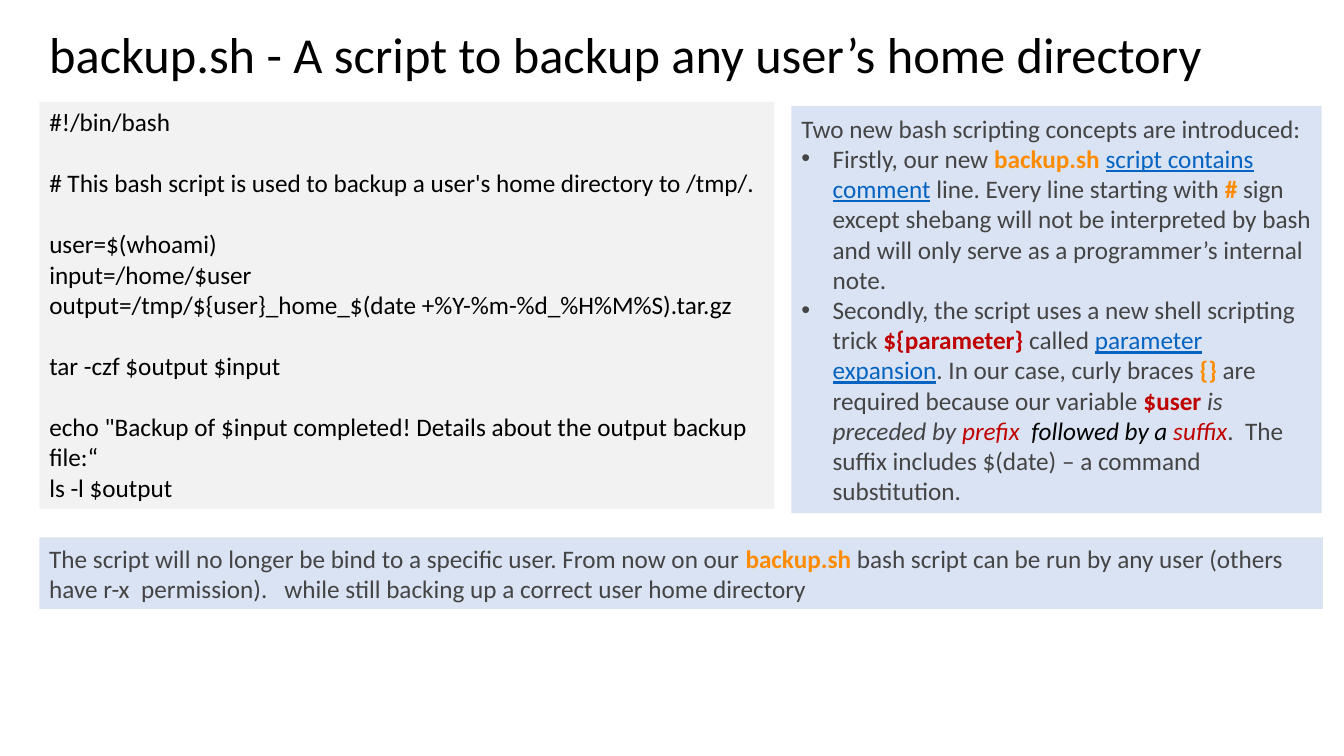
from dataclasses import dataclass

from lxml.etree import SubElement
from pptx import Presentation
from pptx.dml.color import RGBColor
from pptx.enum.shapes import MSO_SHAPE as Shape
from pptx.enum.text import MSO_ANCHOR as Anchor, PP_ALIGN as Align
from pptx.oxml.ns import qn
from pptx.util import Inches, Pt


@dataclass(frozen=True)
class Theme:
    font: str = "Calibri"
    title_size: int = 36
    body_size: int = 18
    code_gap: int = 22
    black: str = "000000"
    body: str = "444444"
    orange: str = "FF8C00"
    red: str = "C00000"
    blue: str = "0563C1"
    code_fill: str = "F2F2F2"
    note_fill: str = "DAE3F3"


THEME = Theme()
LEFT = 0.39
FULL_WIDTH = 12.73
PANEL_HEIGHT = 4.04

NAME = dict(color=THEME.orange, bold=True)
VARIABLE = dict(color=THEME.red, bold=True)
TERM = dict(color=THEME.blue, underline=True)
ASIDE = dict(color=THEME.body, italic=True)
ASIDE_RED = dict(color=THEME.red, italic=True)
ASIDE_BLACK = dict(color=THEME.black, italic=True)

TITLE = "backup.sh - A script to backup any user’s home directory"

CODE_BLOCKS = [
    ["#!/bin/bash"],
    ["# This bash script is used to backup a user's home directory to /tmp/."],
    ["user=$(whoami)",
     "input=/home/$user",
     "output=/tmp/${user}_home_$(date +%Y-%m-%d_%H%M%S).tar.gz"],
    ["tar -czf $output $input"],
    ['echo "Backup of $input completed! Details about the output backup file:“',
     "ls -l $output"],
]

CONCEPTS_INTRO = "Two new bash scripting concepts are introduced:"
CONCEPTS = [
    [("Firstly, our new ", {}), ("backup.sh ", NAME),
     ("script contains comment", TERM),
     (" line. Every line starting with ", {}), ("#", NAME),
     (" sign except shebang will not be interpreted by bash and will only "
      "serve as a programmer’s internal note.", {})],
    [("Secondly, the script uses a new shell scripting trick ", {}),
     ("${parameter}", VARIABLE), (" called ", {}),
     ("parameter expansion", TERM),
     (". In our case, curly braces ", {}), ("{}", NAME),
     (" are required because our variable ", {}), ("$user ", VARIABLE),
     ("is preceded by ", ASIDE), ("prefix  ", ASIDE_RED),
     ("followed by a", ASIDE_BLACK), (" suffix", ASIDE_RED),
     (".  The suffix includes $(date) – a command substitution.", {})],
]

SUMMARY = [
    ("The script will no longer be bind to a specific user. "
     "From now on our ", {}),
    ("backup.sh", NAME),
    (" bash script can be run by any user (others have r-x  permission).   "
     "while still backing up a correct user home directory", {}),
]


def add_run(paragraph, text, *, size=THEME.body_size, color=THEME.body,
            bold=False, italic=False, underline=False):
    run = paragraph.add_run()
    run.text = text
    font = run.font
    font.name = THEME.font
    font.size = Pt(size)
    font.color.rgb = RGBColor.from_string(color)
    font.bold, font.italic, font.underline = bold, italic, underline


def add_paragraph(frame, runs, *, bullet=False, space_before=0):
    """Fill the frame's first paragraph if it is unused, else append one."""
    paragraph = frame.paragraphs[0]
    if paragraph.runs:
        paragraph = frame.add_paragraph()
    paragraph.alignment = Align.LEFT
    if space_before:
        paragraph.space_before = Pt(space_before)
    if bullet:
        properties = paragraph._p.get_or_add_pPr()
        properties.set("marL", str(Inches(0.31)))
        properties.set("indent", str(Inches(-0.31)))
        SubElement(properties, qn("a:buFont"), typeface="Arial")
        SubElement(properties, qn("a:buChar"), char="•")
    for text, style in runs:
        add_run(paragraph, text, **style)
    return paragraph


def add_panel(slide, left, top, width, height, fill, anchor=Anchor.MIDDLE):
    """Add a borderless rectangle and return its text frame."""
    panel = slide.shapes.add_shape(Shape.RECTANGLE, Inches(left), Inches(top),
                                   Inches(width), Inches(height))
    panel.shadow.inherit = False
    panel.fill.solid()
    panel.fill.fore_color.rgb = RGBColor.from_string(fill)
    panel.line.fill.background()
    frame = panel.text_frame
    frame.word_wrap = True
    frame.vertical_anchor = anchor
    return frame


def add_title(slide):
    box = slide.shapes.add_textbox(Inches(LEFT), Inches(0.17),
                                   Inches(FULL_WIDTH), Inches(0.8))
    frame = box.text_frame
    frame.word_wrap = True
    frame.vertical_anchor = Anchor.MIDDLE
    style = dict(size=THEME.title_size, color=THEME.black)
    add_paragraph(frame, [(TITLE, style)]).line_spacing = 0.9


def add_code(slide):
    frame = add_panel(slide, LEFT, 1.01, 7.29, PANEL_HEIGHT,
                      THEME.code_fill, Anchor.TOP)
    for block_index, block in enumerate(CODE_BLOCKS):
        for line_index, line in enumerate(block):
            starts_block = block_index > 0 and line_index == 0
            add_paragraph(frame, [(line, dict(color=THEME.black))],
                          space_before=THEME.code_gap if starts_block else 0)


def add_concepts(slide):
    frame = add_panel(slide, 7.85, 1.05, 5.26, PANEL_HEIGHT, THEME.note_fill)
    add_paragraph(frame, [(CONCEPTS_INTRO, {})])
    for concept in CONCEPTS:
        add_paragraph(frame, concept, bullet=True)


def add_summary(slide):
    frame = add_panel(slide, LEFT, 5.33, FULL_WIDTH, 0.71, THEME.note_fill)
    add_paragraph(frame, SUMMARY)


def main():
    presentation = Presentation()
    presentation.slide_width = Inches(13.33)
    presentation.slide_height = Inches(7.5)
    slide = presentation.slides.add_slide(presentation.slide_layouts[6])
    add_title(slide)
    add_code(slide)
    add_concepts(slide)
    add_summary(slide)
    presentation.save("out.pptx")


if __name__ == "__main__":
    main()
